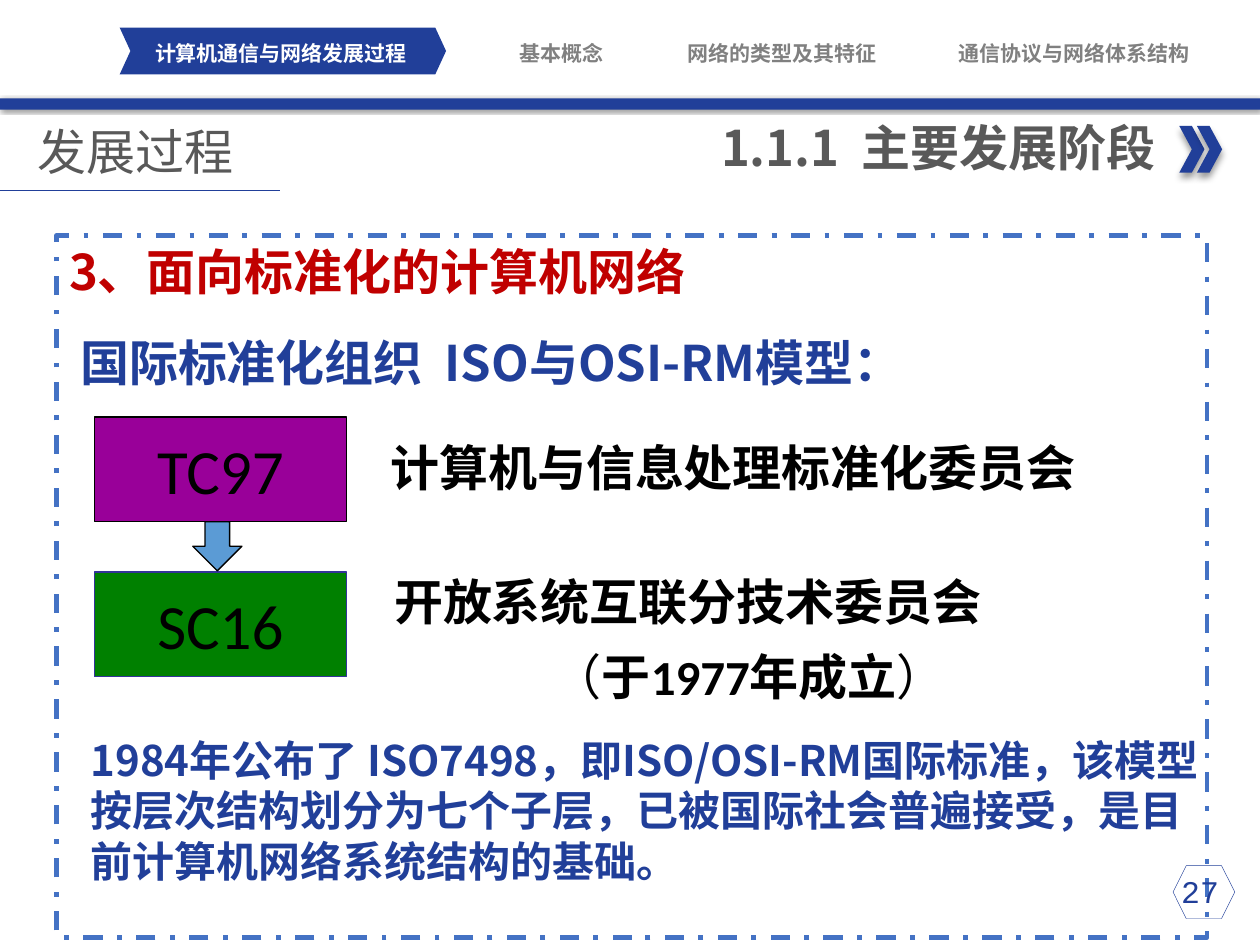
"""Build the slide on the standardisation stage of computer networks."""
from typing import NamedTuple, Optional

from lxml import etree
from pptx import Presentation
from pptx.dml.color import RGBColor
from pptx.enum.dml import MSO_LINE
from pptx.enum.shapes import MSO_CONNECTOR, MSO_SHAPE
from pptx.enum.text import MSO_ANCHOR, PP_ALIGN
from pptx.oxml.ns import qn
from pptx.util import Inches, Pt

LEFT, CENTER, RIGHT = PP_ALIGN.LEFT, PP_ALIGN.CENTER, PP_ALIGN.RIGHT
TOP, MIDDLE = MSO_ANCHOR.TOP, MSO_ANCHOR.MIDDLE
RECTANGLE, CHEVRON = MSO_SHAPE.RECTANGLE, MSO_SHAPE.CHEVRON
HEXAGON, DOWN_ARROW = MSO_SHAPE.HEXAGON, MSO_SHAPE.DOWN_ARROW
DASH_DOT, STRAIGHT = MSO_LINE.DASH_DOT, MSO_CONNECTOR.STRAIGHT

COLUMNS, ROWS = 100, 75
CELL = Inches(0.1)
BLUE, GREY, RED, BLACK, WHITE = "213F99", "595959", "C00000", "000000", "FFFFFF"
SANS, BODY, NARROW, MONO = "Noto Sans CJK SC", "Calibri", "Arial Narrow", "Courier New"


class Area(NamedTuple):
    """A rectangle in grid columns and rows."""
    column: float
    row: float
    width: float
    height: float


class Style(NamedTuple):
    """The look of one paragraph."""
    size: float
    font: str
    color: str
    bold: bool = False
    align: PP_ALIGN = LEFT


class Shadow(NamedTuple):
    """An outer shadow: blur and distance in points, angle in degrees."""
    blur: float
    distance: float
    angle: int


class Tab(NamedTuple):
    """One entry of the navigation bar."""
    column: float
    width: float
    text: str
    color: str = "808080"


class Committee(NamedTuple):
    """A committee box on the left side of the diagram."""
    row: float
    name: str
    fill: str
    line: str


class Note(NamedTuple):
    """A free text on the page."""
    area: Area
    text: str
    style: Style
    anchor: MSO_ANCHOR = TOP
    space_before: float = 0


STRONG = Style(28, BODY, BLACK, True)
TABS = [
    Tab(11.2, 22.2, "计算机通信与网络发展过程", WHITE),
    Tab(37.3, 14.5, "基本概念"),
    Tab(53.8, 16.5, "网络的类型及其特征"),
    Tab(72.7, 25.1, "通信协议与网络体系结构"),
]
COMMITTEES = [
    Committee(33.1, "TC97", "990099", BLACK),
    Committee(45.4, "SC16", "008000", "333399"),
]
NOTES = [
    Note(Area(90.9, 68.7, 8.7, 4), "27", Style(18, MONO, BLUE, align=CENTER)),
    Note(Area(0.6, 9.5, 20.3, 4.9), "发展过程", Style(28, SANS, GREY, align=CENTER), MIDDLE),
    Note(Area(30, 34.2, 62.5, 5.7), "计算机与信息处理标准化委员会", STRONG),
    Note(Area(30.3, 44.9, 57.5, 5.7), "开放系统互联分技术委员会", STRONG),
    Note(Area(6.2, 57.8, 91.3, 15),
         "1984年公布了 ISO7498，即ISO/OSI-RM国际标准，该模型按层次结构划分为七个子层，"
         "已被国际社会普遍接受，是目前计算机网络系统结构的基础。",
         Style(24, SANS, BLUE, True), TOP, 10),
]


def rgb(color: str) -> RGBColor:
    """Turn a hex string into a colour."""
    return RGBColor.from_string(color)


def cells(*counts: float) -> list[int]:
    """Turn counts of grid cells into lengths."""
    return [round(count * CELL) for count in counts]


def format_paragraph(para, style: Style) -> None:
    """Give a paragraph its font and alignment."""
    para.alignment = style.align
    para.font.size = Pt(style.size)
    para.font.name = style.font
    para.font.bold = style.bold
    para.font.color.rgb = rgb(style.color)


def add_shadow(shape, shadow: Shadow) -> None:
    """Put a soft black shadow on a shape."""
    effects = shape._element.spPr.find(qn("a:effectLst"))
    outer = etree.SubElement(effects, qn("a:outerShdw"), blurRad=str(Pt(shadow.blur)),
                             dist=str(Pt(shadow.distance)), dir=str(shadow.angle * 60000),
                             algn="tl", rotWithShape="0")
    color = etree.SubElement(outer, qn("a:srgbClr"), val=BLACK)
    etree.SubElement(color, qn("a:alpha"), val="40000")


def draw_shape(page, kind: MSO_SHAPE, area: Area, fill: Optional[str] = None,
               line: Optional[str] = None, weight: float = 1,
               shadow: Optional[Shadow] = None):
    """Draw a preset shape with optional fill, line and shadow."""
    shape = page.shapes.add_shape(kind, *cells(*area))
    shape.shadow.inherit = False
    if fill:
        shape.fill.solid()
        shape.fill.fore_color.rgb = rgb(fill)
    else:
        shape.fill.background()
    if line:
        shape.line.color.rgb = rgb(line)
        shape.line.width = Pt(weight)
    else:
        shape.line.fill.background()
    if shadow:
        add_shadow(shape, shadow)
    return shape


def draw_note(page, note: Note):
    """Draw a wrapped text box and return its frame."""
    frame = page.shapes.add_textbox(*cells(*note.area)).text_frame
    frame.word_wrap = True
    frame.vertical_anchor = note.anchor
    para = frame.paragraphs[0]
    para.text = note.text
    para.space_before = Pt(note.space_before)
    format_paragraph(para, note.style)
    return frame


def draw_tab(page, tab: Tab) -> None:
    """Draw one navigation entry without margins."""
    style = Style(12, NARROW, tab.color, True, CENTER)
    frame = draw_note(page, Note(Area(tab.column, 3.2, tab.width, 2), tab.text, style, MIDDLE))
    frame.margin_left = frame.margin_right = frame.margin_top = frame.margin_bottom = 0


def draw_committee(page, committee: Committee) -> None:
    """Draw a committee box with its name."""
    box = draw_shape(page, RECTANGLE, Area(7.5, committee.row, 20, 8.3),
                     committee.fill, committee.line)
    frame = box.text_frame
    frame.word_wrap = False
    frame.vertical_anchor = MIDDLE
    frame.text = committee.name
    format_paragraph(frame.paragraphs[0], Style(36, BODY, BLACK, align=CENTER))


def draw_header(page) -> None:
    """Draw the bar, chevrons, title, rule and navigation."""
    draw_shape(page, RECTANGLE, Area(0, 7.8, COLUMNS, 0.9), BLUE, shadow=Shadow(2, 1, 45))
    for column in (93.6, 95):
        draw_shape(page, CHEVRON, Area(column, 10, 2, 3.7), BLUE, shadow=Shadow(4, 3, 90))
    title = page.shapes.title
    title.left, title.top, title.width, title.height = cells(7.6, 8.8, 85.1, 5.7)
    title.text_frame.text = "1.1.1  主要发展阶段"
    title.text_frame.vertical_anchor = TOP
    format_paragraph(title.text_frame.paragraphs[0], Style(28, SANS, GREY, True, RIGHT))
    rule = page.shapes.add_connector(STRAIGHT, *cells(0, 15.1, 22.2, 15.1))
    rule.line.color.rgb = rgb(BLUE)
    rule.line.width = Pt(0.5)
    etree.SubElement(rule._element.spPr, qn("a:effectLst"))
    marker = draw_shape(page, CHEVRON, Area(9.5, 2.2, 25.9, 3.7), BLUE)
    marker.adjustments[0] = 0.23
    for tab in TABS:
        draw_tab(page, tab)


def draw_frame(page) -> None:
    """Draw the dashed frame with its two headings."""
    box = draw_shape(page, RECTANGLE, Area(4.5, 18.7, 91.3, 55.7), line="4472C4", weight=2.75)
    box.line.dash_style = DASH_DOT
    frame = box.text_frame
    frame.vertical_anchor = TOP
    frame.text = "3、面向标准化的计算机网络\n 国际标准化组织  ISO与OSI-RM模型："
    for para, color, space in zip(frame.paragraphs, (RED, BLUE), (0, 18)):
        format_paragraph(para, Style(28, SANS, color, True))
        para.space_before = Pt(space)


def draw_founding_year(page) -> None:
    """Draw the founding year, bold between plain brackets."""
    frame = draw_note(page, Note(Area(42.9, 50.8, 36.2, 5.7), "", Style(28, BODY, BLACK)))
    for text, bold in (("（", False), ("于1977年成立", True), ("）", False)):
        span = frame.paragraphs[0].add_run()
        span.text = text
        span.font.bold = bold


def main() -> None:
    """Build and save the deck."""
    deck = Presentation()
    deck.slide_width, deck.slide_height = cells(COLUMNS, ROWS)
    page = deck.slides.add_slide(deck.slide_layouts.get_by_name("Title Only"))
    draw_shape(page, HEXAGON, Area(93.1, 68.7, 4.9, 4.2), line=BLUE, weight=0.25)
    draw_header(page)
    draw_frame(page)
    for committee in COMMITTEES:
        draw_committee(page, committee)
    draw_shape(page, DOWN_ARROW, Area(15.3, 41.4, 3.9, 3.9), "5B9BD5", BLACK, 0.75)
    for note in NOTES:
        draw_note(page, note)
    draw_founding_year(page)
    deck.save("out.pptx")


if __name__ == "__main__":
    main()
